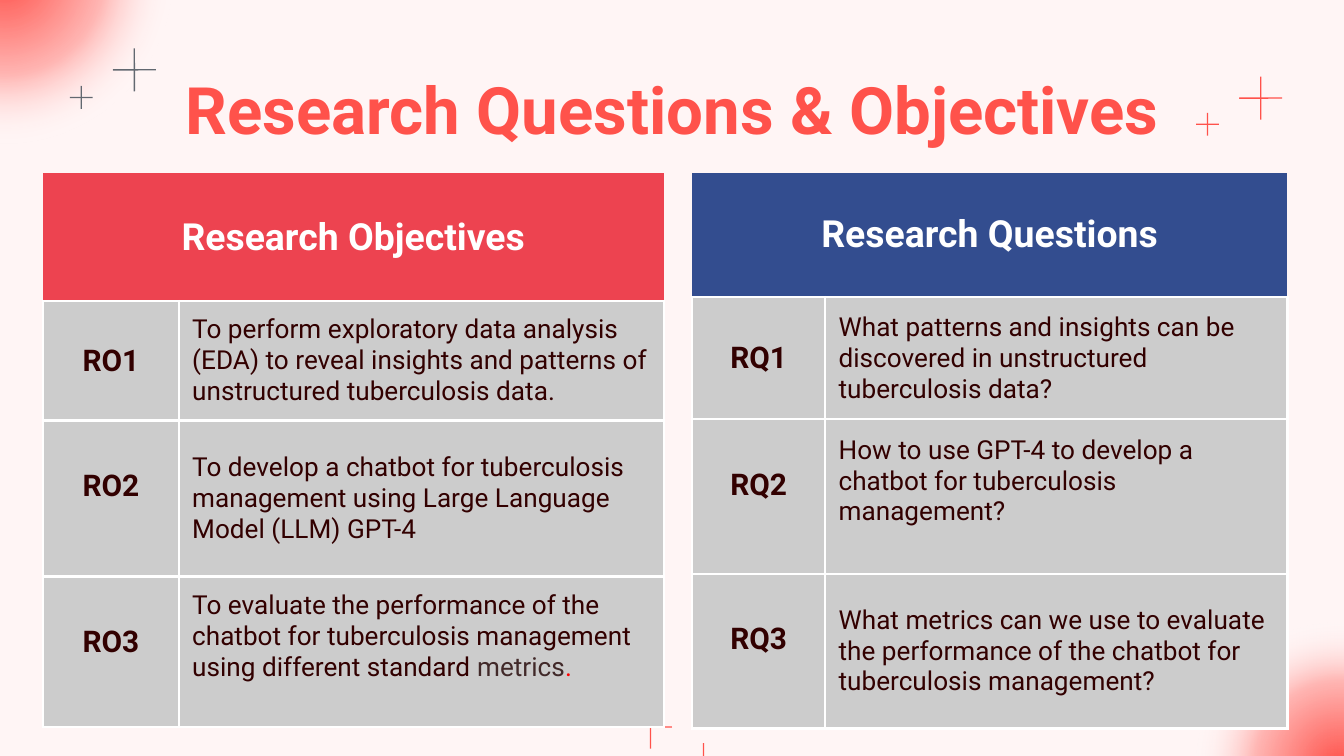
from lxml.etree import SubElement
from pptx import Presentation
from pptx.dml.color import RGBColor
from pptx.enum.shapes import MSO_SHAPE as Shape
from pptx.enum.text import MSO_ANCHOR as Anchor, PP_ALIGN as Align
from pptx.oxml import parse_xml
from pptx.oxml.ns import nsdecls, qn
from pptx.util import Inches, Pt

CORAL, GREY, DARK, WHITE, CELL = "FF524B", "626870", "320000", "FFFFFF", "CCCCCC"


def paint(color_format, color):
    color_format.rgb = RGBColor.from_string(color)


def write(text_frame, text, size, color, bold, align):
    text_frame.text = text
    paragraph = text_frame.paragraphs[0]
    paragraph.alignment = align
    font = paragraph.runs[0].font
    font.name, font.size, font.bold = "Roboto", Pt(size), bold
    paint(font.color, color)
    return paragraph


presentation = Presentation()
presentation.slide_width, presentation.slide_height = Inches(10), Inches(10 * 9 / 16)
slide = presentation.slides.add_slide(presentation.slide_layouts[5])
slide.background.fill.solid()
paint(slide.background.fill.fore_color, "FFF5F5")

title = slide.shapes.title
title.left, title.top, title.width, title.height = map(Inches, (0.79, 0.49, 8.43, 0.63))
frame = title.text_frame
frame.margin_left = frame.margin_right = frame.margin_top = frame.margin_bottom = Inches(0.1)
frame.vertical_anchor = Anchor.MIDDLE
write(frame, "Research Questions & Objectives", 35, CORAL, True, Align.CENTER)

GLOW_STOPS = [(0, CORAL, 100), (39, CORAL, 38), (66, WHITE, 0), (100, WHITE, 0)]
stops = "".join(
    f'<a:gs pos="{position * 1000}"><a:srgbClr val="{color}"><a:alpha val="{alpha * 1000}"/></a:srgbClr></a:gs>'
    for position, color, alpha in GLOW_STOPS
)
for left, top, size in [(-1.31, -1.52, 2.68), (8.82, 4.55, 2.29)]:
    glow = slide.shapes.add_shape(Shape.OVAL, Inches(left), Inches(top), Inches(size), Inches(size))
    glow.shadow.inherit = False
    glow.line.fill.background()
    gradient = parse_xml(
        f'<a:gradFill {nsdecls("a")}><a:gsLst>{stops}</a:gsLst><a:path path="circle">'
        '<a:fillToRect l="50000" t="50000" r="50000" b="50000"/></a:path></a:gradFill>'
    )
    glow._element.spPr.find(qn("a:prstGeom")).addnext(gradient)

BARS = [(5.23, 5.53, 0.01, 0.17, CORAL)]
PLUSES = [
    (9.22, 0.57, 0.32, CORAL), (8.9, 0.84, 0.17, CORAL), (4.68, 5.25, 0.32, CORAL),
    (0.84, 0.36, 0.32, GREY), (0.52, 0.64, 0.17, GREY),
]
for left, top, length, color in PLUSES:
    middle = (length - 0.01) / 2
    BARS.append((left + middle, top, 0.01, length, color))
    BARS.append((left, top + middle, length, 0.01, color))
for left, top, width, height, color in BARS:
    bar = slide.shapes.add_shape(
        Shape.ROUNDED_RECTANGLE, Inches(left), Inches(top), Inches(width), Inches(height))
    bar.shadow.inherit = False
    bar.fill.solid()
    paint(bar.fill.fore_color, color)
    bar.line.fill.background()

TABLES = [
    {
        "left": 5.15, "columns": [0.99, 3.44], "rows": [0.92, 0.91, 1.15, 1.15],
        "heading": "Research Questions", "color": "334D8F", "prefix": "RQ", "raised": 2,
        "items": [
            "What patterns and insights can be discovered in unstructured tuberculosis data?",
            "How to use GPT-4 to develop a chatbot for tuberculosis management?",
            "What metrics can we use to evaluate the performance of the chatbot for tuberculosis management?",
        ],
    },
    {
        "left": 0.32, "columns": [1.01, 3.61], "rows": [0.95, 0.89, 1.16, 1.11],
        "heading": "Research Objectives", "color": "ED4350", "prefix": "RO", "raised": 3,
        "items": [
            "To perform exploratory data analysis (EDA) to reveal insights and patterns of unstructured tuberculosis data.",
            "To develop a chatbot for tuberculosis management using Large Language Model (LLM) GPT-4",
            "To evaluate the performance of the chatbot for tuberculosis management using different standard ",
        ],
    },
]
for data in TABLES:
    table = slide.shapes.add_table(
        4, 2, Inches(data["left"]), Inches(1.29),
        Inches(sum(data["columns"])), Inches(sum(data["rows"]))).table
    for column, width in zip(table.columns, data["columns"]):
        column.width = Inches(width)
    for row, height in zip(table.rows, data["rows"]):
        row.height = Inches(height)

    for row_index, row in enumerate(table.rows):
        for cell in row.cells:
            cell.margin_left = cell.margin_right = cell.margin_top = cell.margin_bottom = Inches(0.1)
            cell.vertical_anchor = Anchor.MIDDLE
            properties = cell._tc.get_or_add_tcPr()
            for side in ("L", "R", "T", "B"):
                border = SubElement(properties, qn(f"a:ln{side}"), w=str(Pt(1.5)))
                if row_index == 0 and side != "B":
                    SubElement(border, qn("a:noFill"))
                else:
                    SubElement(SubElement(border, qn("a:solidFill")), qn("a:srgbClr"), val=WHITE)
            cell.fill.solid()
            paint(cell.fill.fore_color, CELL if row_index else data["color"])

    heading = table.cell(0, 0)
    heading.merge(table.cell(0, 1))
    write(heading.text_frame, data["heading"], 20, WHITE, True, Align.CENTER)
    for number, item in enumerate(data["items"], 1):
        label, body = table.cell(number, 0), table.cell(number, 1)
        write(label.text_frame, f"{data['prefix']}{number}", 16, DARK, True, Align.CENTER)
        paragraph = write(body.text_frame, item, 14, DARK, False, Align.LEFT)
        if number > 1:
            label.vertical_anchor = Anchor.TOP
            label.margin_top = Inches(0.36)
        if number == data["raised"]:
            body.margin_bottom = Inches(0.33)

for text, color in [("metrics", "412929"), (".", "FF0000")]:
    run = paragraph.add_run()
    run.text = text
    run.font.name, run.font.size, run.font.bold = "Roboto", Pt(14), False
    paint(run.font.color, color)

presentation.save("out.pptx")
